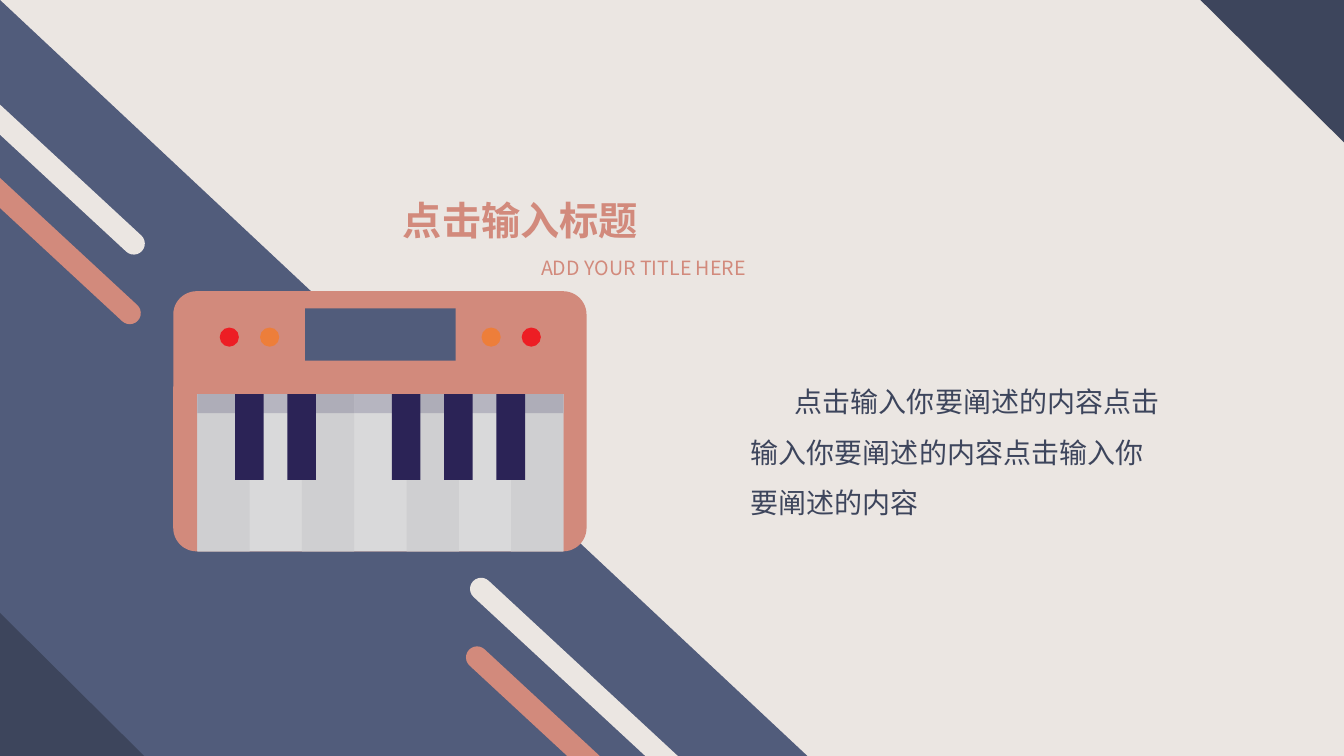
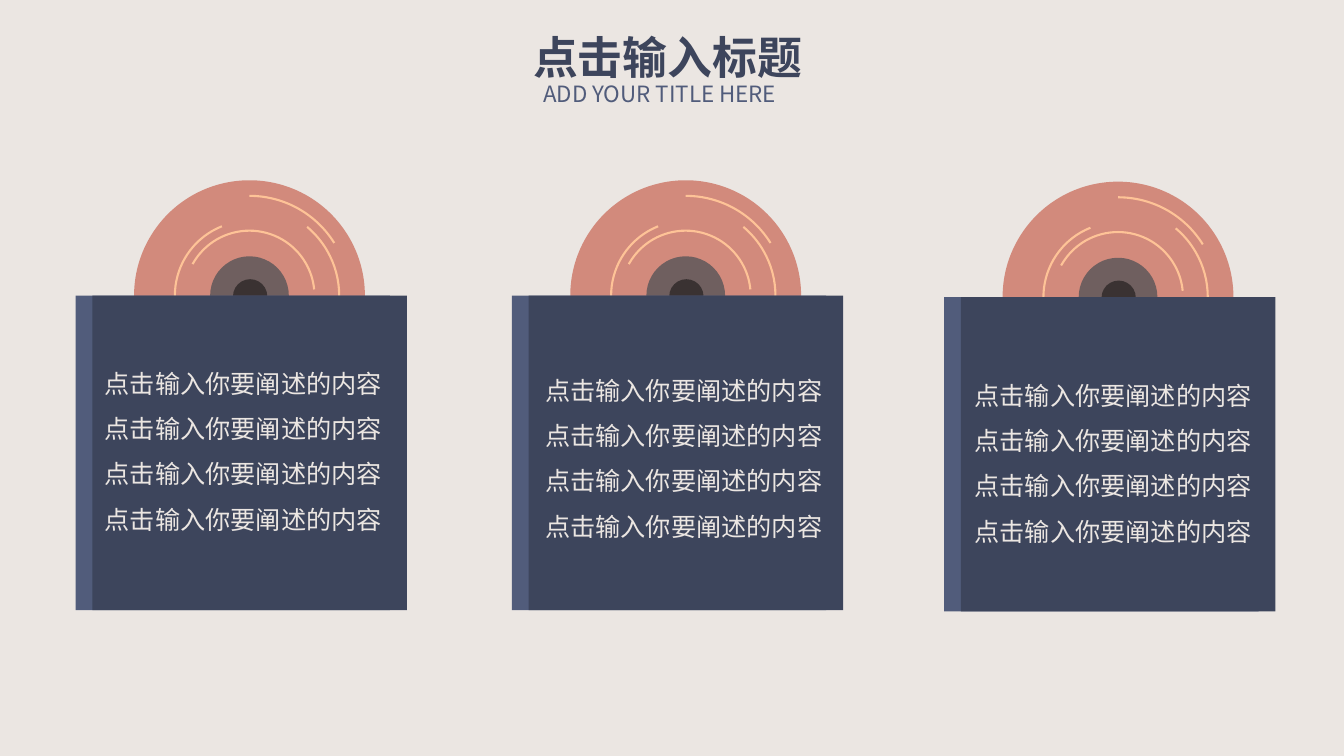
"""Builds two slides: a keyboard on a diagonal panel, and three record sleeves."""
from lxml import etree
from pptx import Presentation
from pptx.dml import color
from pptx.enum import shapes, text
from pptx.oxml import ns
from pptx.util import Pt

KIND = shapes.MSO_SHAPE
FONT = "Noto Sans CJK SC"
CREAM, BLUE, NAVY, CORAL, GOLD = "EBE6E2", "515C7B", "3D455C", "D28A7C", "FEC397"
RED, ORANGE, INK, HUB, HOLE = "ED1E24", "ED7E3A", "2B2356", "6F5F5F", "3A3232"
LIGHT, DARK, SHADE, SHADOW = "D9D9DA", "CFCFD1", "B6B5C0", "AEADB8"
PHRASE = "点击输入你要阐述的内容"
HEAD, SUB = "点击输入标题", "ADD YOUR TITLE HERE"
ARCS = [
    (142.6, 270, 328.14),
    (133.9, 48.18, 160.83),
    (106.6, 137.63, 248.3),
    (106.6, 22.97, 82.93),
    (128.2, 309.99, 42.86),
    (92.9, 209.04, 354.5),
]


def rgb(code):
    """Turn a hex string into a colour."""
    return color.RGBColor.from_string(code)


def shape(tree, kind, box, fill, turn=0):
    """Add a plain filled shape."""
    item = tree.add_shape(kind, *map(Pt, box))
    item.shadow.inherit = False
    item.fill.solid()
    item.fill.fore_color.rgb = rgb(fill)
    item.line.fill.background()
    item.rotation = turn
    return item


def ring(x, y, size):
    """Return the box of a circle from its centre and diameter."""
    return x - size / 2, y - size / 2, size, size


def dot(tree, x, y, size, fill):
    """Add a filled circle around a centre."""
    shape(tree, KIND.OVAL, ring(x, y, size), fill)


def arc(tree, x, y, size, start, end):
    """Add a thin groove between two angles in degrees."""
    item = tree.add_shape(KIND.ARC, *map(Pt, ring(x, y, size)))
    item.shadow.inherit = False
    item.fill.background()
    item.line.color.rgb = rgb(GOLD)
    item.line.width = Pt(1.5)
    item.adjustments[0] = start * 0.6
    item.adjustments[1] = end * 0.6


def write(slide, box, words, size, tint, bold=False, wrap=False, indent=0):
    """Add a text box with one paragraph."""
    frame = slide.shapes.add_textbox(*map(Pt, box)).text_frame
    frame.word_wrap = wrap
    frame.auto_size = text.MSO_AUTO_SIZE.SHAPE_TO_FIT_TEXT
    para = frame.paragraphs[0]
    para.text = words
    if wrap:
        para.line_spacing = 1.5
    if indent:
        para._p.get_or_add_pPr().set("indent", str(Pt(indent)))
    run = para.runs[0]
    font = run.font
    font.name, font.size, font.bold = FONT, Pt(size), bold
    font.color.rgb = rgb(tint)
    east = etree.SubElement(run._r.get_or_add_rPr(), ns.qn("a:ea"))
    east.set("typeface", FONT)


def page(deck):
    """Add a blank slide with the shared background."""
    slide = deck.slides.add_slide(deck.slide_layouts[6])
    slide.background.fill.solid()
    slide.background.fill.fore_color.rgb = rgb(CREAM)
    return slide


def panel(tree):
    """Add the diagonal panel, its corners and stripes."""
    shape(tree, KIND.RIGHT_TRIANGLE, (0, 0, 576.7, 540), BLUE)
    shape(tree, KIND.RIGHT_TRIANGLE, (0, 437.8, 103, 102.2), NAVY)
    shape(tree, KIND.RIGHT_TRIANGLE, (857.5, 0, 103, 102.2), NAVY, 180)
    bars = [(295.2, 516.2, CREAM), (292.3, 565.2, CORAL),
            (-176.4, 62.6, CREAM), (-179.3, 112.3, CORAL)]
    for x, y, fill in bars:
        bar = shape(tree, KIND.ROUNDED_RECTANGLE, (x, y, 320.4, 15.8), fill, 42.8)
        bar.adjustments[0] = 0.5


def piano(tree):
    """Add the keyboard with its screen, lamps and keys."""
    left, top, wide, high, strip = 141, 281.5, 261.4, 112.3, 13.7
    step = wide / 7
    body = shape(tree, KIND.ROUNDED_RECTANGLE, (123.8, 208, 295.2, 185.8), CORAL)
    body.adjustments[0] = 0.09
    shape(tree, KIND.RECTANGLE, (218, 220.3, 107.5, 37.4), BLUE)
    for x, fill in ((163.8, RED), (192.6, ORANGE), (350.8, ORANGE), (379.5, RED)):
        dot(tree, x, 240.8, 13.7, fill)
    shape(tree, KIND.RECTANGLE, (left, top, wide, high), LIGHT)
    shape(tree, KIND.RECTANGLE, (left, top, wide, strip), SHADE)
    for key in range(0, 7, 2):
        x = left + key * step
        shape(tree, KIND.RECTANGLE, (x, top, step, high), DARK)
        shape(tree, KIND.RECTANGLE, (x, top, step, strip), SHADOW)
    for key in (1, 2, 4, 5, 6):
        x = left + key * step - 10.4
        shape(tree, KIND.RECTANGLE, (x, top, 20.4, 61.2), INK)


def disc(tree, x, y):
    """Add a record around a centre."""
    dot(tree, x, y, 164.9, CORAL)
    dot(tree, x, y, 56.2, HUB)
    for size, start, end in ARCS:
        arc(tree, x, y, size, start, end)
    dot(tree, x + 0.5, y + 0.5, 24.5, HOLE)


def sleeve(tree, x, y):
    """Add a record sleeve with its spine."""
    for shift, fill in ((0, BLUE), (12, NAVY)):
        shape(tree, KIND.RECTANGLE, (x + shift, y, 224.6, 224.6), fill)


def cover(deck):
    """Build the keyboard slide."""
    slide = page(deck)
    panel(slide.shapes)
    piano(slide.shapes.add_group_shape().shapes)
    write(slide, (280.8, 136.8, 184.3, 41), HEAD, 28, CORAL, bold=True)
    write(slide, (379.4, 179.3, 169.2, 24.5), SUB, 14, CORAL)
    write(slide, (529.2, 259.2, 306.7, 116.6), PHRASE * 3, 20, NAVY,
          wrap=True, indent=31.5)


def records(deck):
    """Build the slide with three records."""
    slide = page(deck)
    write(slide, (373.7, 18, 208.1, 46.1), HEAD, 32, NAVY, bold=True)
    write(slide, (380.9, 54, 191.5, 26.6), SUB, 16, BLUE)
    spots = [(54, 211.2, 67.7, 248.4), (365.6, 211.2, 382.3, 253.4),
             (674.4, 212.2, 689, 257)]
    for x, y, left, top in spots:
        disc(slide.shapes.add_group_shape().shapes, x + 124.2, y)
        sleeve(slide.shapes.add_group_shape().shapes, x, y)
        write(slide, (left, top, 221, 159.8), PHRASE * 4, 18, CREAM, wrap=True)


def main():
    """Build and save the deck."""
    deck = Presentation()
    deck.slide_width, deck.slide_height = Pt(960), Pt(540)
    cover(deck)
    records(deck)
    deck.save("out.pptx")


if __name__ == "__main__":
    main()
